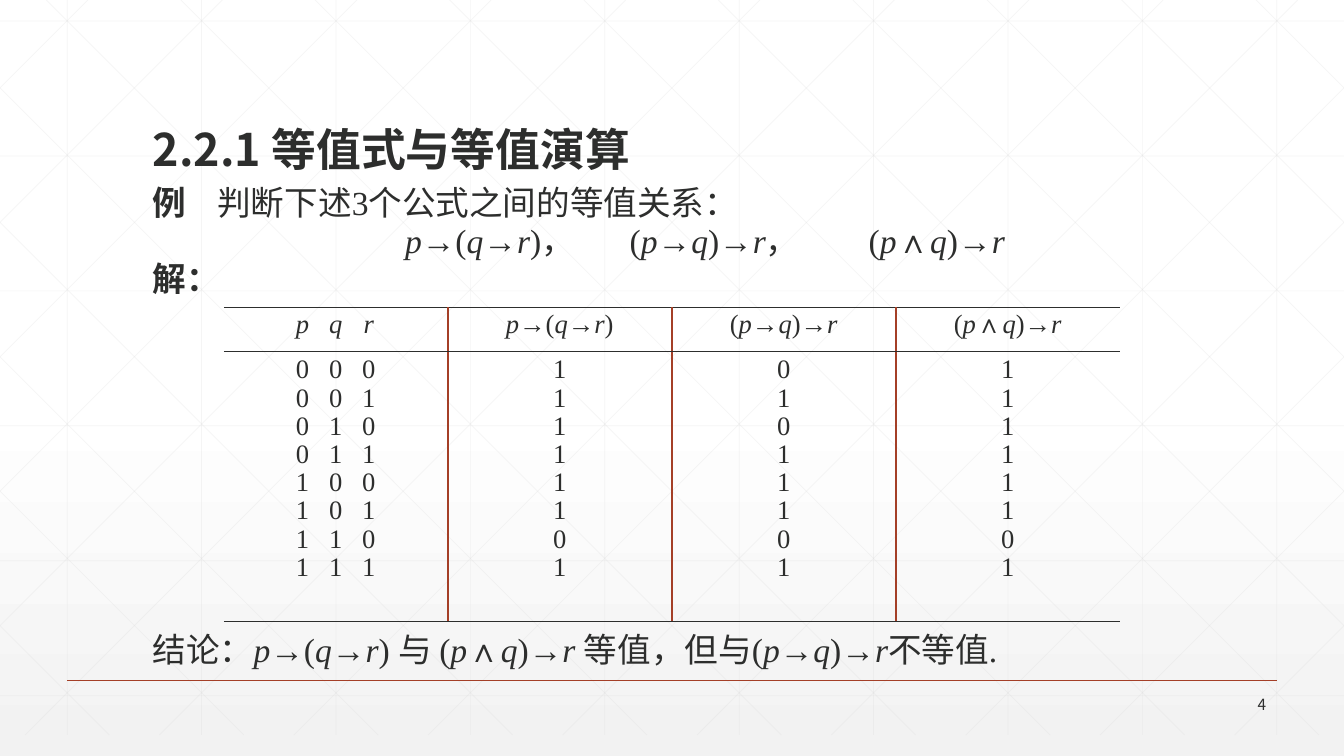
import itertools

import lxml.etree
import pptx
import pptx.dml.color
import pptx.enum.shapes
import pptx.enum.text
import pptx.oxml.ns
import pptx.util

Cm = pptx.util.Cm
Pt = pptx.util.Pt
ALIGN = pptx.enum.text.PP_ALIGN
ANCHOR = pptx.enum.text.MSO_ANCHOR
qn = pptx.oxml.ns.qn

WIDTH, HEIGHT = 33.87, 19.05
GRID_END = 18.52
INK, RUST, GRID = "2D2E2D", "A43F27", "D9D9D9"
SANS, SERIF = "Noto Sans CJK SC", "Times New Roman"
FORMULAS = ["p→(q→r)", "(p→q)→r", "(p∧q)→r"]


def rgb(color):
    return pptx.dml.color.RGBColor.from_string(color)


def child(parent, tag, **attrs):
    return lxml.etree.SubElement(parent, qn(tag), attrs)


def add_text(p, text, size=24, font=SERIF, bold=False, math=True):
    for is_variable, chars in itertools.groupby(text, lambda c: c in "pqr"):
        r = p.add_run()
        r.text = "".join(chars)
        r.font.size = Pt(size)
        r.font.name = font
        r.font.bold = bold
        r.font.italic = math and is_variable
        r.font.color.rgb = rgb(INK)
        child(r.font._element, "a:ea", typeface=SANS)


def add_tabs(p, stops, align="l"):
    tabs = child(p._p.get_or_add_pPr(), "a:tabLst")
    for stop in stops:
        child(tabs, "a:tab", pos=str(Cm(stop)), algn=align)


def add_box(s, x, y, w, h, anchor=ANCHOR.TOP):
    tf = s.shapes.add_textbox(Cm(x), Cm(y), Cm(w), Cm(h)).text_frame
    tf.word_wrap = True
    tf.vertical_anchor = anchor
    tf.paragraphs[0].line_spacing = 0.9
    return tf


def next_line(tf):
    p = tf.add_paragraph()
    p.line_spacing = 0.9
    p.space_before = Pt(1.2)
    return p


def add_line(s, x1, y1, x2, y2, color=GRID, width=0.5, alpha=None):
    c = s.shapes.add_connector(
        pptx.enum.shapes.MSO_CONNECTOR.STRAIGHT, Cm(x1), Cm(y1), Cm(x2), Cm(y2))
    c.line.width = Pt(width)
    c.line.color.rgb = rgb(color)
    child(c._element.spPr, "a:effectLst")
    if alpha:
        fill = c._element.spPr.find(".//" + qn("a:srgbClr"))
        child(fill, "a:alpha", val=str(alpha * 1000))


def add_grid(s):
    step = WIDTH / 10
    lines = []
    for i in range(10):
        x = step * (i + 0.5)
        lines.append((x, 0, x, GRID_END))
    for i in range(6):
        y = 0.53 + 3.4 * i
        lines.append((0, y, WIDTH, y))
    for i in range(-5, 10):
        x = 1.17 + step * i
        x1, x2 = max(x, 0), min(x + GRID_END, WIDTH)
        lines.append((x1, x1 - x, x2, x2 - x))
        lines.append((WIDTH - x1, x1 - x, WIDTH - x2, x2 - x))
    for ends in lines:
        add_line(s, *ends, alpha=25)


def set_borders(cell, **sides):
    tcPr = cell._tc.get_or_add_tcPr()
    for side in "LRTB":
        color, width = sides.get(side, (None, 0))
        ln = child(tcPr, "a:ln" + side, w=str(Pt(width)))
        if color:
            child(child(ln, "a:solidFill"), "a:srgbClr", val=color)
        else:
            child(ln, "a:noFill")
    cell.fill.background()


def fill_cell(cell, lines, spacing, tabbed):
    tf = cell.text_frame
    for i, line in enumerate(lines):
        p = tf.add_paragraph() if i else tf.paragraphs[0]
        p.line_spacing = spacing
        if tabbed:
            p.alignment = ALIGN.LEFT
            add_tabs(p, [1.73, 2.57, 3.4], "ctr")
            line = "".join("\t" + value for value in line)
        else:
            p.alignment = ALIGN.CENTER
        add_text(p, line, size=19)


def add_truth_table(s):
    rows = list(itertools.product((0, 1), repeat=3))
    results = [
        [int(not p or not q or r) for p, q, r in rows],
        [int((p and not q) or r) for p, q, r in rows],
        [int(not (p and q) or r) for p, q, r in rows],
    ]
    columns = [["".join(map(str, row)) for row in rows]]
    columns += [[str(value) for value in column] for column in results]
    frame = s.shapes.add_table(2, 4, Cm(5.64), Cm(7.75), Cm(22.58), Cm(7.9))
    table = frame.table
    table.first_row = table.horz_banding = False
    table.rows[0].height, table.rows[1].height = Cm(1.1), Cm(6.8)
    rule, divider = (INK, 0.75), (RUST, 1.5)
    for col, header in enumerate(["pqr"] + FORMULAS):
        sides = {"T": rule, "B": rule}
        if col > 0:
            sides["L"] = divider
        if col < 3:
            sides["R"] = divider
        for row, lines in enumerate([[header], columns[col]]):
            cell = table.cell(row, col)
            fill_cell(cell, lines, (0.9, 0.96)[row], col == 0)
            set_borders(cell, **sides)


def add_background(s):
    fill = s.background.fill
    fill.gradient()
    fill.gradient_angle = 270
    for stop, position, color in zip(fill.gradient_stops, (0.53, 1), ("FFFFFF", "F2F2F2")):
        stop.position = position
        stop.color.rgb = rgb(color)


def add_problem(s):
    tf = add_box(s, 3.6, 4.57, 26.67, 3.6)
    p = tf.paragraphs[0]
    add_tabs(p, [1.63])
    add_text(p, "例", bold=True)
    add_text(p, "\t判断下述3个公式之间的等值关系：")
    p = next_line(tf)
    add_tabs(p, [6.36, 12.02, 18.04])
    add_text(p, "\t" + "，\t".join(FORMULAS))
    add_text(next_line(tf), "解：", bold=True)


def main():
    prs = pptx.Presentation()
    prs.slide_width, prs.slide_height = Cm(WIDTH), Cm(HEIGHT)
    s = prs.slides.add_slide(prs.slide_layouts[6])
    add_background(s)
    add_grid(s)
    add_line(s, 1.69, 17.14, 32.18, 17.14, RUST, 1)

    tf = add_box(s, 29.62, 17.48, 2.54, 0.6, ANCHOR.MIDDLE)
    tf.paragraphs[0].alignment = ALIGN.RIGHT
    add_text(tf.paragraphs[0], "4", size=11, font=SANS)

    tf = add_box(s, 3.6, 1.4, 26.67, 3.17, ANCHOR.BOTTOM)
    add_text(tf.paragraphs[0], "2.2.1 等值式与等值演算", size=32, font=SANS, bold=True)

    add_problem(s)
    add_truth_table(s)
    nested, chained, joined = FORMULAS
    tf = add_box(s, 3.6, 15.85, 26.67, 1.2)
    add_text(tf.paragraphs[0], f"结论：{nested} 与 {joined} 等值，但与{chained}不等值.")
    prs.save("out.pptx")


if __name__ == "__main__":
    main()
